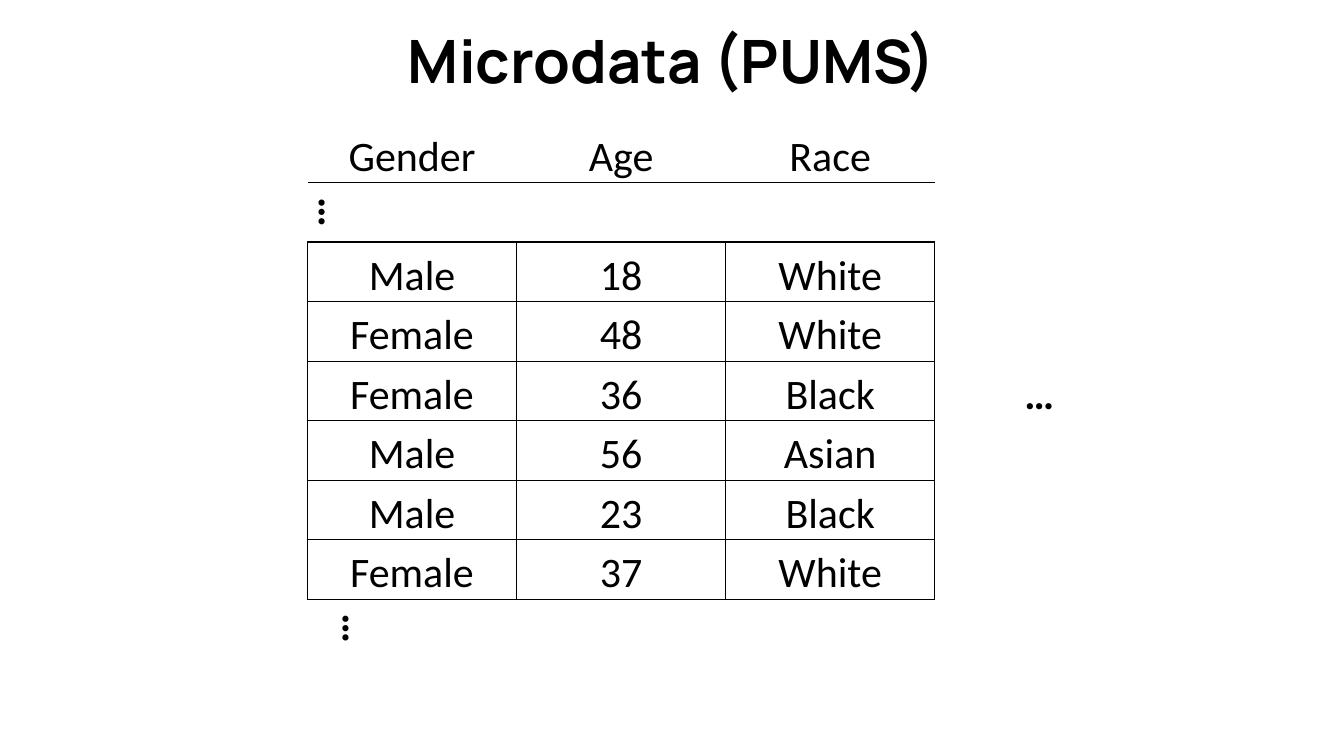
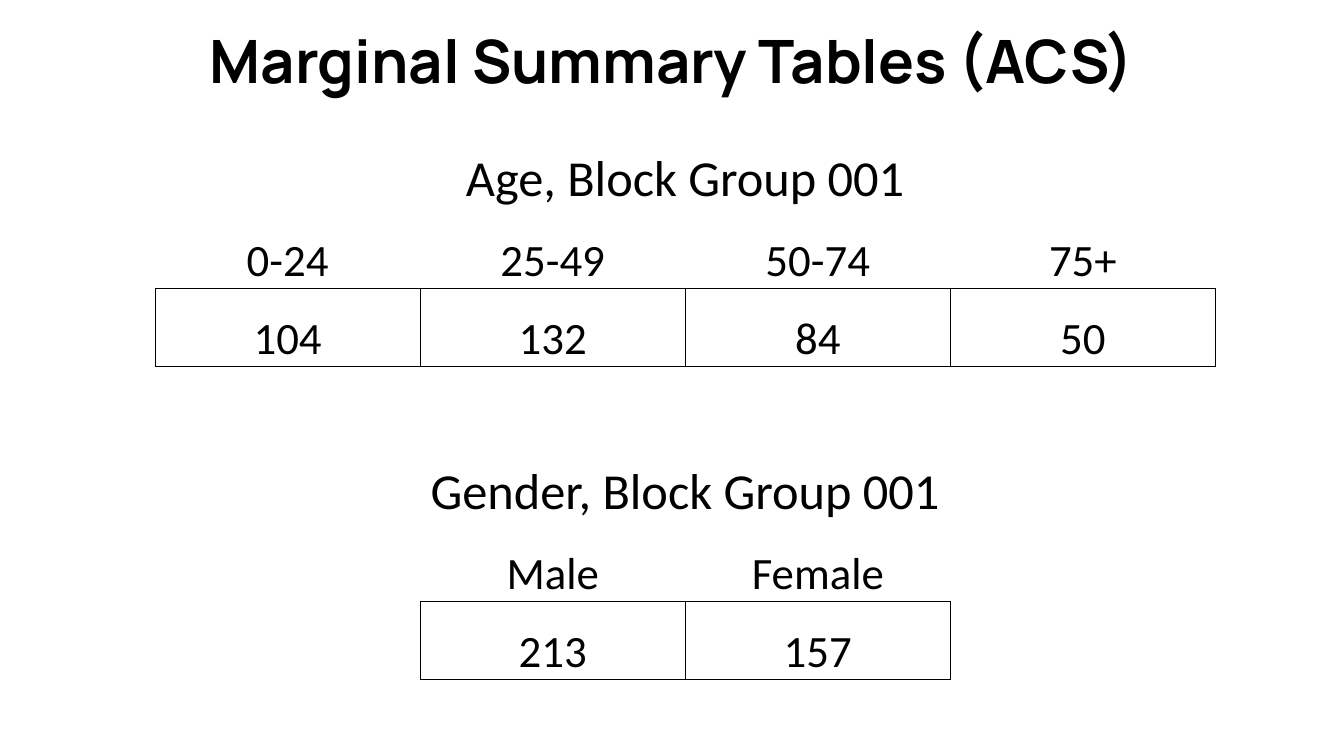
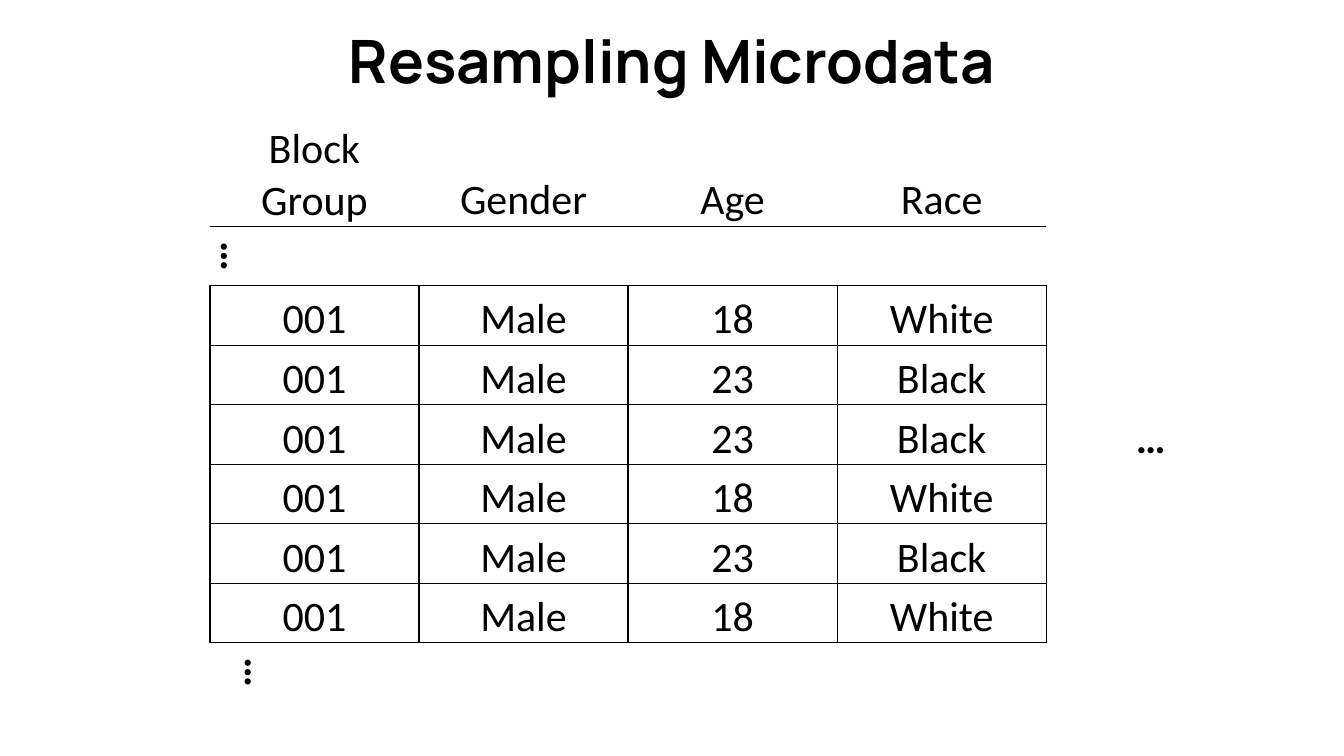
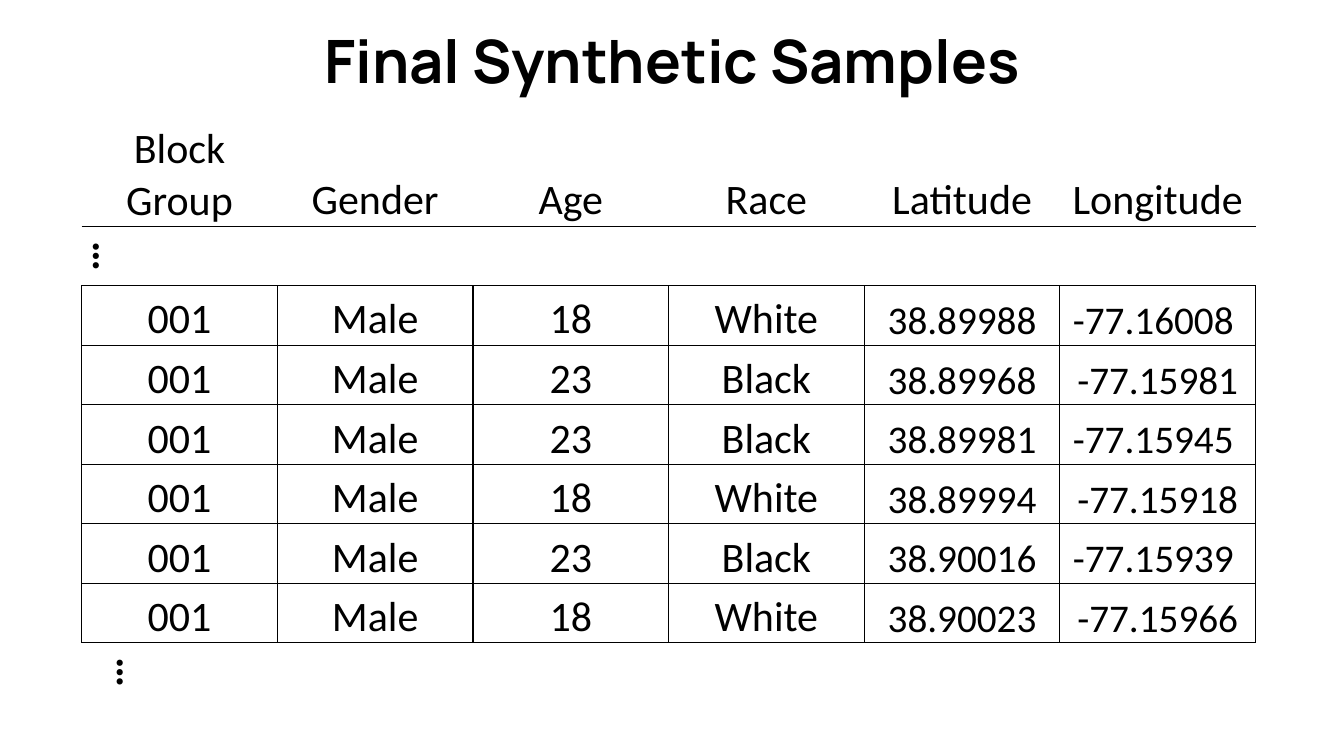
from dataclasses import dataclass

from lxml import etree
from pptx import Presentation
from pptx.dml.color import RGBColor
from pptx.enum.text import MSO_ANCHOR, PP_ALIGN
from pptx.oxml.ns import qn
from pptx.util import Cm, Pt

CENTER = PP_ALIGN.CENTER
MIDDLE = MSO_ANCHOR.MIDDLE
BOTTOM = MSO_ANCHOR.BOTTOM
BLANK = 6
PLAIN_TABLE = "{2D5ABB26-0587-4C30-8999-92F81FD0307C}"
BOX = "LRTB"


@dataclass(frozen=True)
class Theme:
    ink: str = "000000"
    paper: str = "FFFFFF"
    title_font: str = "Manrope"
    body_font: str = "Calibri"
    title: float = 42.7
    caption: float = 36
    count: float = 32
    body: float = 30
    coordinate: float = 28


class Deck:
    def __init__(self, theme):
        self.theme = theme
        self.prs = Presentation()
        self.prs.slide_width = Cm(33.87)
        self.prs.slide_height = Cm(19.05)
        self.s = None

    def style(self, p, font, size, bold=False):
        p.alignment = CENTER
        p.font.name = font
        p.font.size = Pt(size)
        p.font.bold = bold
        p.font.color.rgb = RGBColor.from_string(self.theme.ink)

    def slide(self, title):
        self.s = self.prs.slides.add_slide(self.prs.slide_layouts[BLANK])
        fill = self.s.background.fill
        fill.solid()
        fill.fore_color.rgb = RGBColor.from_string(self.theme.paper)
        sp = self.s.shapes.add_textbox(Cm(1.7), Cm(-0.08), Cm(30.48), Cm(3.18))
        tf = sp.text_frame
        tf.word_wrap = True
        tf.vertical_anchor = MIDDLE
        p = tf.paragraphs[0]
        p.text = title
        self.style(p, self.theme.title_font, self.theme.title, True)

    def table(self, left, top, col_width, cols, heights):
        frame = self.s.shapes.add_table(
            len(heights), cols, Cm(left), Cm(top),
            Cm(col_width * cols), Cm(sum(heights)))
        table = frame.table
        table.first_row = table.horz_banding = False
        table._tbl.tblPr.find(qn("a:tableStyleId")).text = PLAIN_TABLE
        for col in table.columns:
            col.width = Cm(col_width)
        for row, height in zip(table.rows, heights):
            row.height = Cm(height)
        return table

    def border(self, tc_pr, sides, width):
        for side in sides:
            ln = etree.SubElement(tc_pr, qn("a:ln" + side), w=str(Pt(width)))
            fill = etree.SubElement(ln, qn("a:solidFill"))
            etree.SubElement(fill, qn("a:srgbClr"), val=self.theme.ink)

    def cell(self, cell, text="", size=None, sides="", width=1, bold=False,
             vert=None, margin_top=0.02):
        tc_pr = cell._tc.get_or_add_tcPr()
        self.border(tc_pr, sides, width)
        cell.fill.background()
        cell.margin_left = cell.margin_right = Cm(0.02)
        cell.margin_top, cell.margin_bottom = Cm(margin_top), 0
        cell.vertical_anchor = MIDDLE if vert else BOTTOM
        if vert:
            tc_pr.set("vert", vert)
        if text:
            p = cell.text_frame.paragraphs[0]
            p.text = text
            self.style(p, self.theme.body_font, size or self.theme.body, bold)

    def dots_row(self, table, row, span, cols, sides, vert, margin_top=0.02):
        table.cell(row, 0).merge(table.cell(row, span - 1))
        self.cell(table.cell(row, 0), "…", sides=sides, bold=True, vert=vert,
                  margin_top=margin_top)
        for col in range(1, cols):
            self.cell(table.cell(row, col), sides=sides)

    def records(self, left, col_width, header, rows, header_height=1.5,
                dots_span=None, more_columns=True):
        cols = len(header)
        span = dots_span or cols
        heights = [header_height] + [1.5] * (len(rows) + 2)
        table = self.table(left, 3.1, col_width, cols + more_columns, heights)
        for col, name in enumerate(header):
            self.cell(table.cell(0, col), name, sides="B")
        self.dots_row(table, 1, span, cols, "TB", "vert", 0.25)
        for row, values in enumerate(rows, 2):
            for col, value in enumerate(values):
                size = self.theme.body if col < 4 else self.theme.coordinate
                self.cell(table.cell(row, col), value, size, BOX)
        self.dots_row(table, len(rows) + 2, span, cols, "T", "vert270")
        if more_columns:
            self.cell(table.cell(4, cols), "…", bold=True)

    def marginal(self, table, row, col, caption, counts, width):
        table.cell(row, col).merge(table.cell(row, col + len(counts) - 1))
        self.cell(table.cell(row, col), caption, self.theme.caption)
        for c, (name, count) in enumerate(counts.items(), col):
            self.cell(table.cell(row + 1, c), name, self.theme.count, "B", width)
            self.cell(table.cell(row + 2, c), count, self.theme.count, BOX, width)


def main():
    deck = Deck(Theme())
    person = ["Gender", "Age", "Race"]
    located = ["Block Group"] + person

    deck.slide("Microdata (PUMS)")
    deck.records(7.75, 5.27, person, [
        ("Male", "18", "White"),
        ("Female", "48", "White"),
        ("Female", "36", "Black"),
        ("Male", "56", "Asian"),
        ("Male", "23", "Black"),
        ("Female", "37", "White"),
    ])

    deck.slide("Marginal Summary Tables (ACS)")
    table = deck.table(3.91, 3.33, 6.68, 4, [1.97] * 7)
    deck.marginal(table, 0, 0, "Age, Block Group 001",
                  {"0-24": "104", "25-49": "132", "50-74": "84", "75+": "50"}, 0.5)
    deck.marginal(table, 4, 1, "Gender, Block Group 001",
                  {"Male": "213", "Female": "157"}, 1)

    young = ("001", "Male", "18", "White")
    older = ("001", "Male", "23", "Black")
    samples = [young, older, older, young, older, young]

    deck.slide("Resampling Microdata")
    deck.records(5.29, 5.27, located, samples, header_height=2.6)

    places = [
        ("38.89988", "-77.16008 "),
        ("38.89968", "-77.15981"),
        ("38.89981", "-77.15945 "),
        ("38.89994", "-77.15918"),
        ("38.90016", "-77.15939 "),
        ("38.90023", "-77.15966"),
    ]
    deck.slide("Final Synthetic Samples")
    deck.records(2.06, 4.93, located + ["Latitude", "Longitude"],
                 [sample + place for sample, place in zip(samples, places)],
                 header_height=2.6, dots_span=4, more_columns=False)

    deck.prs.save("out.pptx")


if __name__ == "__main__":
    main()
